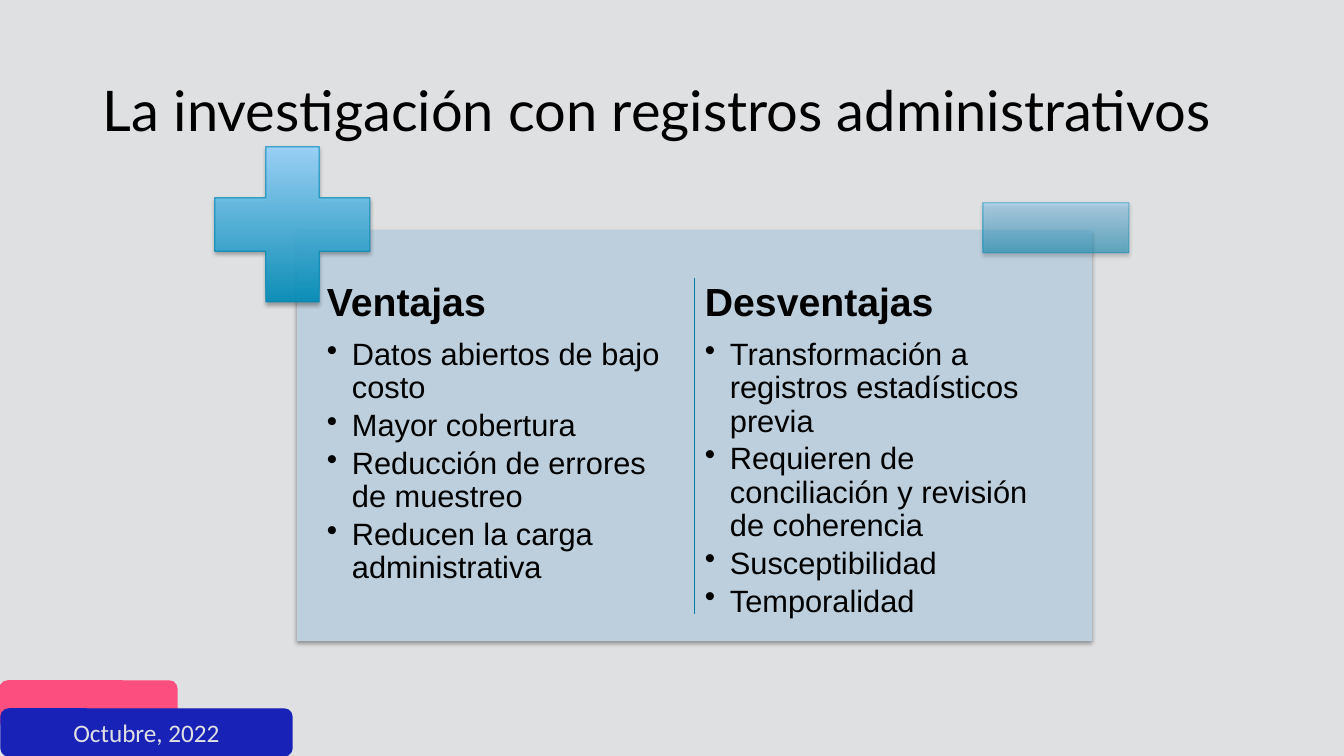
from dataclasses import dataclass

from lxml.etree import SubElement
from pptx import Presentation
from pptx.dml.color import RGBColor
from pptx.enum.shapes import MSO_CONNECTOR, MSO_SHAPE
from pptx.enum.text import MSO_ANCHOR, PP_ALIGN
from pptx.oxml.ns import qn
from pptx.util import Emu, Pt


@dataclass(frozen=True)
class Theme:
    """Hold the colours, fonts and type sizes of the slide."""
    back: str = "DFE0E2"
    ink: str = "000000"
    pink: str = "FC4F80"
    navy: str = "1822B7"
    panel: str = "BDCFDD"
    deep: str = "008EBA"
    sky: str = "9AD5FF"
    edge: str = "0989B1"
    rule: str = "087CA1"
    head: str = "Lato"
    body: str = "Arial"
    foot: str = "Calibri"
    title: int = 40
    topic: int = 28
    item: int = 22
    date: int = 18


THEME = Theme()
PROS = ("Datos abiertos de bajo costo", "Mayor cobertura",
        "Reducción de errores de muestreo", "Reducen la carga administrativa")
CONS = ("Transformación a registros estadísticos previa",
        "Requieren de conciliación y revisión de coherencia",
        "Susceptibilidad", "Temporalidad")


def px(count):
    """Turn whole pixels into EMU."""
    return Emu(round(count * 914400 / 100.8))


def rgb(code):
    """Turn a hex code into a colour."""
    return RGBColor.from_string(code)


def fade(fill, share):
    """Give every colour inside a fill an opacity in percent."""
    for color in fill.iter(qn("a:srgbClr")):
        SubElement(color, qn("a:alpha"), val=str(share * 1000))


def shade(shape):
    """Cast a soft shadow straight down."""
    effects = shape._element.spPr.find(qn("a:effectLst"))
    outer = SubElement(effects, qn("a:outerShdw"), blurRad=str(Pt(3.1)),
                       dist=str(Pt(1.8)), dir="5400000", rotWithShape="0")
    color = SubElement(outer, qn("a:srgbClr"), val=THEME.ink)
    SubElement(color, qn("a:alpha"), val="35000")


def block(slide, kind, box, color, adjust=None):
    """Draw a plain shape with no outline."""
    shape = slide.shapes.add_shape(kind, *map(px, box))
    shape.shadow.inherit = False
    shape.fill.solid()
    shape.fill.fore_color.rgb = rgb(color)
    shape.line.fill.background()
    if adjust is not None:
        shape.adjustments[0] = adjust
    return shape


def tab(slide, box, color):
    """Draw a rounded tab outlined in its own colour."""
    shape = block(slide, MSO_SHAPE.ROUNDED_RECTANGLE, box, color, 0.167)
    shape.line.color.rgb = rgb(color)
    shape.line.width = Pt(1)
    return shape


def sign(slide, kind, box, share, adjust=None):
    """Draw a see-through gradient sign with a shadow."""
    shape = block(slide, kind, box, THEME.deep, adjust)
    shape.fill.gradient()
    shape.fill.gradient_angle = 90
    for stop, color in zip(shape.fill.gradient_stops, (THEME.deep, THEME.sky)):
        stop.color.rgb = rgb(color)
    shape.line.color.rgb = rgb(THEME.edge)
    shape.line.width = Pt(0.75)
    fade(shape._element.spPr, share)
    shade(shape)


def write(para, text, font, size, color, bold=False):
    """Add one styled run to a paragraph."""
    run = para.add_run()
    run.text = text
    run.font.name = font
    run.font.size = Pt(size)
    run.font.bold = bold
    run.font.color.rgb = rgb(color)


def frame(slide, box, pad, anchor):
    """Add a wrapping text box and return its frame."""
    text = slide.shapes.add_textbox(*map(px, box)).text_frame
    text.word_wrap = True
    text.vertical_anchor = anchor
    text.margin_left = text.margin_right = px(pad[0])
    text.margin_top = text.margin_bottom = px(pad[1])
    return text


def bullet(para):
    """Give a paragraph a hanging round bullet."""
    para.level = 1
    props = para._p.get_or_add_pPr()
    props.set("marL", str(px(25)))
    props.set("indent", str(-px(25)))
    color = SubElement(props, qn("a:buClr"))
    SubElement(color, qn("a:srgbClr"), val=THEME.ink)
    SubElement(props, qn("a:buChar"), char="•")


def column(slide, left, topic, items):
    """Write a bold topic with its bullet list."""
    text = frame(slide, (left, 277, 369, 352), (6, 6), MSO_ANCHOR.TOP)
    para = text.paragraphs[0]
    para.line_spacing = 0.9
    para.space_after = Pt(9.8)
    write(para, topic, THEME.body, THEME.topic, THEME.ink, True)
    for item in items:
        para = text.add_paragraph()
        bullet(para)
        para.line_spacing = 0.9
        para.space_after = Pt(3.3)
        write(para, item, THEME.body, THEME.item, THEME.ink)


def divide(slide, x, top, bottom):
    """Draw the thin upright rule between the columns."""
    line = slide.shapes.add_connector(
        MSO_CONNECTOR.STRAIGHT, px(x), px(top), px(x), px(bottom))
    line.line.color.rgb = rgb(THEME.rule)
    line.line.width = Pt(0.75)
    SubElement(line._element.spPr, qn("a:effectLst"))


def footer(slide):
    """Draw the two tabs and the date."""
    tab(slide, (0, 681, 177, 47), THEME.pink)
    text = tab(slide, (1, 709, 291, 47), THEME.navy).text_frame
    text.vertical_anchor = MSO_ANCHOR.MIDDLE
    para = text.paragraphs[0]
    para.alignment = PP_ALIGN.CENTER
    write(para, "Octubre, 2022", THEME.foot, THEME.date, THEME.back)


def title(slide, words):
    """Write the slide title."""
    text = frame(slide, (93, 40, 1159, 146), (10, 5), MSO_ANCHOR.MIDDLE)
    para = text.paragraphs[0]
    para.line_spacing = 0.9
    write(para, words, THEME.head, THEME.title, THEME.ink)


def main():
    """Build and save the slide."""
    deck = Presentation()
    deck.slide_width, deck.slide_height = px(1344), px(756)
    slide = deck.slides.add_slide(deck.slide_layouts[6])
    slide.background.fill.solid()
    slide.background.fill.fore_color.rgb = rgb(THEME.back)
    footer(slide)
    title(slide, "La investigación con registros administrativos")
    shade(block(slide, MSO_SHAPE.RECTANGLE, (297, 230, 795, 411), THEME.panel))
    column(slide, 321, "Ventajas", PROS)
    column(slide, 699, "Desventajas", CONS)
    sign(slide, MSO_SHAPE.CROSS, (215, 147, 155, 155), 90, 0.328)
    sign(slide, MSO_SHAPE.RECTANGLE, (983, 203, 146, 50), 50)
    divide(slide, 695, 278, 614)
    deck.save("out.pptx")


if __name__ == "__main__":
    main()
